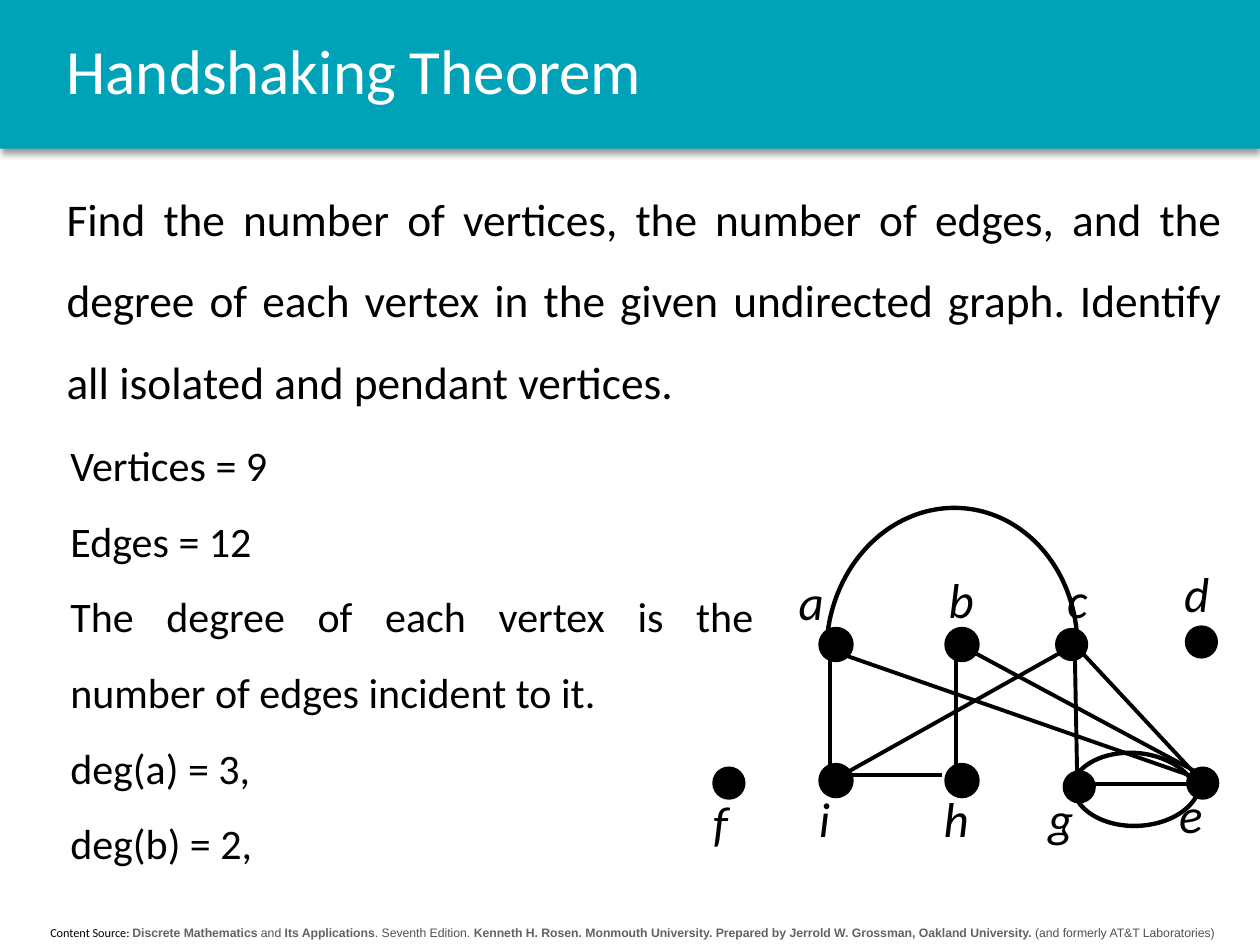
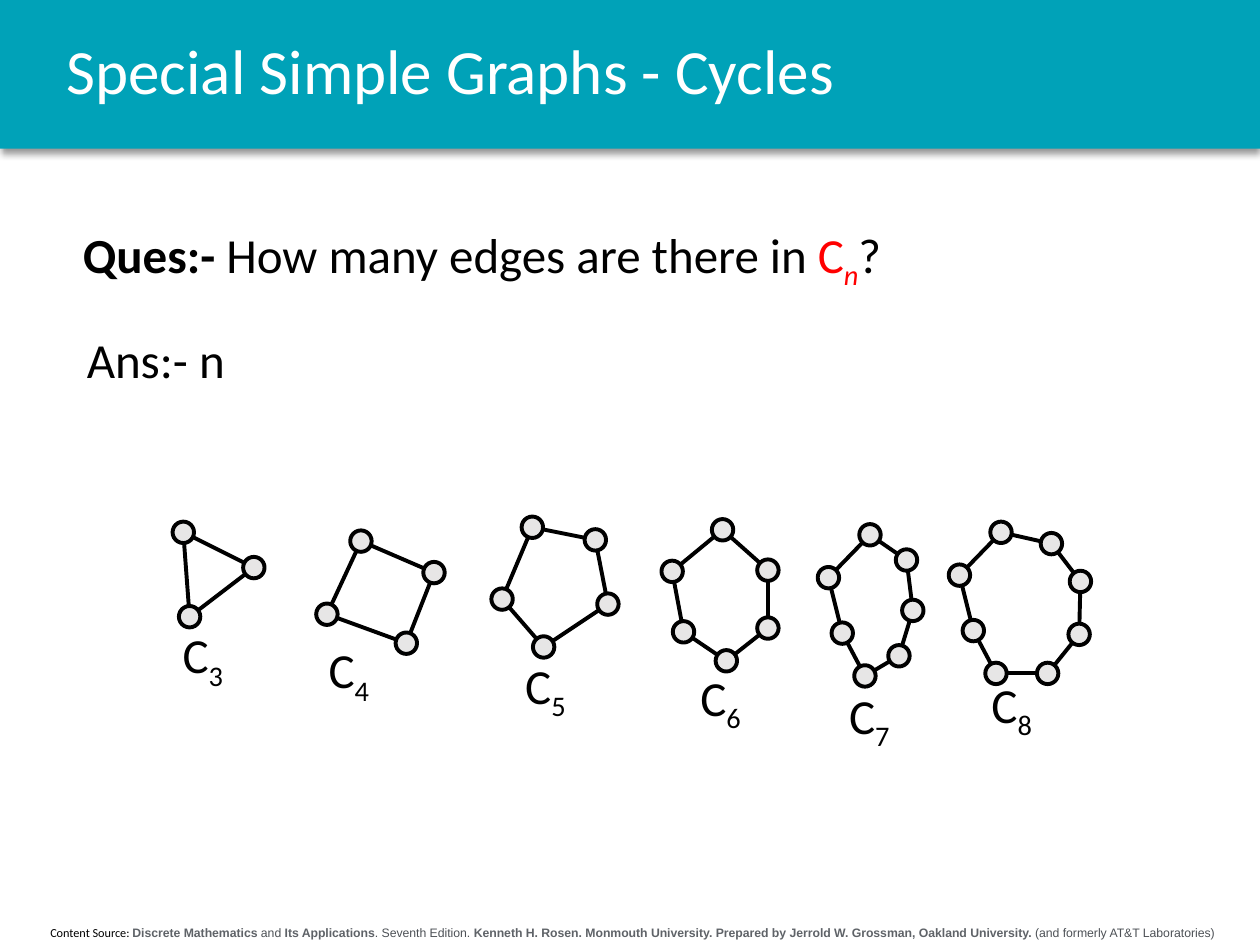
from collections import namedtuple

from lxml.etree import SubElement
from pptx import Presentation
from pptx.dml.color import RGBColor
from pptx.enum.shapes import MSO_CONNECTOR, MSO_SHAPE
from pptx.enum.text import MSO_ANCHOR, PP_ALIGN
from pptx.oxml.ns import qn
from pptx.util import Emu, Pt

Box = namedtuple("Box", "left top width height")

TEAL, WHITE, BLACK, RED = "00A2B8", "FFFFFF", "000000", "FF0000"
NODE_GRAY, CREDIT_BOLD, CREDIT_PLAIN = "E7E6E6", "5F6368", "4D5156"

BAND = Box(0, 0, 1000, 118)
TITLE = Box(43, 0, 930, 118)
FOOTER = Box(4, 729, 996, 22)
STRONG = dict(font="Arial", color=CREDIT_BOLD, bold=True)
PLAIN = dict(font="Arial", color=CREDIT_PLAIN)
CREDIT = [
    ("Content Source: ", {}),
    ("Discrete Mathematics", STRONG),
    (" and ", PLAIN),
    ("Its Applications", STRONG),
    (". Seventh Edition. ", PLAIN),
    ("Kenneth H. Rosen. Monmouth University. "
     "Prepared by Jerrold W. Grossman, Oakland University.", STRONG),
    (" (and formerly AT&T Laboratories)", PLAIN),
]

# Vertex: name, left, top, outline width, label left, label top
VERTEX_SIZE = 25
VERTICES = [
    ("a", 151, 99, 2.25, 124, 49),
    ("b", 251, 99, 2.25, 243, 47),
    ("c", 338, 99, 1, 337, 47),
    ("d", 441, 97, 1, 430, 42),
    ("e", 442, 209, 1, 426, 218),
    ("f", 66, 209, 1, 56, 224),
    ("g", 344, 212, 1, 322, 221),
    ("h", 251, 207, 2.25, 239, 221),
    ("i", 151, 207, 2.25, 140, 221),
]
EDGES = [
    ((159, 124), (159, 207)),
    ((259, 124), (259, 207)),
    ((156, 215), (248, 215)),
    ((347, 115), (158, 221)),
    ((446, 222), (355, 222)),
    ((452, 218), (356, 115)),
    ((452, 214), (264, 113)),
    ((446, 216), (159, 116)),
    ((353, 116), (355, 222)),
]
CURVED_EDGES = [
    (Box(143, 16, 225, 199), 274.6),
    (Box(366, 181, 68, 101), 274.6),
    (Box(368, 171, 68, 101), 87.5),
]

# Cycle: label corner, then the corner of each node in order around the cycle
NODE_SIZE = 17
CYCLES = [
    ((35, 94), [(37, 14), (93, 42), (42, 81)]),
    ((151, 106), [(178, 21), (236, 46), (214, 102), (151, 79)]),
    ((307, 118), [(314, 10), (364, 20), (374, 71), (323, 105), (290, 67)]),
    ((446, 128), [(465, 12), (501, 44), (501, 90), (468, 116), (434, 93),
                  (425, 45)]),
    ((564, 142), [(582, 16), (611, 36), (616, 76), (605, 112), (578, 128),
                  (560, 94), (549, 50)]),
    ((677, 133), [(686, 14), (726, 23), (749, 53), (748, 95), (723, 126),
                  (682, 126), (664, 92), (653, 48)]),
]


def px(length):
    """Turn px, 100 to the inch, into EMU."""
    return Emu(length * 9144)


def rgb(color):
    return RGBColor.from_string(color)


def inside(region, left, top, width, height):
    """Move a box given relative to a region onto the slide."""
    return Box(region.left + left, region.top + top, width, height)


def add_run(paragraph, text, size, color=BLACK, font="Calibri", bold=False,
            italic=False, subscript=False):
    run = paragraph.add_run()
    run.text = text
    run.font.name = font
    run.font.size = Pt(size)
    run.font.color.rgb = rgb(color)
    run.font.bold = bold
    run.font.italic = italic
    if subscript:
        run.font._element.set("baseline", "-25000")


def add_text(slide, box, paragraphs, align=PP_ALIGN.LEFT,
             anchor=MSO_ANCHOR.TOP, spacing=1.0, **style):
    """Add paragraphs, each a string or a list of (text, run style) pairs."""
    frame = slide.shapes.add_textbox(*map(px, box)).text_frame
    frame.word_wrap = True
    frame.vertical_anchor = anchor
    for index, content in enumerate(paragraphs):
        paragraph = frame.add_paragraph() if index else frame.paragraphs[0]
        paragraph.alignment = align
        paragraph.line_spacing = spacing
        runs = [(content, {})] if isinstance(content, str) else content
        for text, run_style in runs:
            add_run(paragraph, text, **{**style, **run_style})


def add_preset(slide, preset, box, fill=None, line_width=None):
    shape = slide.shapes.add_shape(preset, *map(px, box))
    shape.shadow.inherit = False
    if fill:
        shape.fill.solid()
        shape.fill.fore_color.rgb = rgb(fill)
    else:
        shape.fill.background()
    if line_width:
        shape.line.color.rgb = rgb(BLACK)
        shape.line.width = Pt(line_width)
    else:
        shape.line.fill.background()
    return shape


def add_edge(slide, region, start, end):
    ends = [px(corner + offset) for point in (start, end)
            for corner, offset in zip(region[:2], point)]
    connector = slide.shapes.add_connector(MSO_CONNECTOR.STRAIGHT, *ends)
    connector.line.color.rgb = rgb(BLACK)
    connector.line.width = Pt(2.25)
    SubElement(connector._element.spPr, qn("a:effectLst"))


def add_drop_shadow(shape):
    effects = shape._element.spPr.find(qn("a:effectLst"))
    shadow = SubElement(effects, qn("a:outerShdw"), blurRad=str(Pt(4)),
                        dist=str(Pt(3)), dir="5400000", algn="t",
                        rotWithShape="0")
    color = SubElement(shadow, qn("a:srgbClr"), val=BLACK)
    SubElement(color, qn("a:alpha"), val="40000")


def add_base_slide(presentation, title):
    """Add a slide with the title band and the source footer."""
    slide = presentation.slides.add_slide(presentation.slide_layouts[6])
    add_drop_shadow(add_preset(slide, MSO_SHAPE.RECTANGLE, BAND, TEAL))
    add_text(slide, FOOTER, [CREDIT], size=7, align=PP_ALIGN.CENTER)
    add_text(slide, TITLE, [title], size=36, color=WHITE, spacing=0.9,
             anchor=MSO_ANCHOR.MIDDLE)
    return slide


def add_undirected_graph(slide, region):
    for start, end in EDGES:
        add_edge(slide, region, start, end)
    for box, rotation in CURVED_EDGES:
        arc = add_preset(slide, MSO_SHAPE.ARC, inside(region, *box),
                         line_width=2.5)
        arc.adjustments[0] = 162
        arc.adjustments[1] = 49.5
        arc.rotation = rotation
    for name, left, top, outline, label_left, label_top in VERTICES:
        add_preset(slide, MSO_SHAPE.OVAL,
                   inside(region, left, top, VERTEX_SIZE, VERTEX_SIZE),
                   BLACK, outline)
        add_text(slide, inside(region, label_left, label_top, 52, 57), [name],
                 size=28, italic=True)


def add_cycles(slide, region):
    half = NODE_SIZE / 2
    for count, (label, nodes) in enumerate(CYCLES, start=3):
        centers = [(left + half, top + half) for left, top in nodes]
        for start, end in zip(centers, centers[1:] + centers[:1]):
            add_edge(slide, region, start, end)
        for node in nodes:
            add_preset(slide, MSO_SHAPE.OVAL,
                       inside(region, *node, NODE_SIZE, NODE_SIZE),
                       NODE_GRAY, 2.25)
        add_text(slide, inside(region, *label, 59, 57),
                 [[("C", {}), (str(count), dict(subscript=True))]],
                 size=28, anchor=MSO_ANCHOR.MIDDLE)


def add_handshaking_slide(presentation):
    slide = add_base_slide(presentation, "Handshaking Theorem")
    justified = dict(align=PP_ALIGN.JUSTIFY, spacing=1.5)
    add_text(slide, Box(43, 125, 937, 219), [
        "Find the number of vertices, the number of edges, and the degree of "
        "each vertex in the given undirected graph. Identify all isolated "
        "and pendant vertices."], size=25.9, **justified)
    add_text(slide, Box(46, 324, 562, 365), [
        "Vertices = 9",
        "Edges = 12",
        "The degree of each vertex is the number of edges incident to it.",
        "deg(a) = 3,",
        "deg(b) = 2,",
    ], size=24, **justified)
    add_undirected_graph(slide, Box(500, 400, 480, 290))


def add_cycles_slide(presentation):
    slide = add_base_slide(presentation, "Special Simple Graphs - Cycles")
    question = [
        ("Ques:- ", dict(bold=True)),
        ("How many edges are there in ", {}),
        ("C", dict(color=RED)),
        ("n", dict(color=RED, italic=True, subscript=True)),
        ("?", {}),
    ]
    middle = dict(size=28, anchor=MSO_ANCHOR.MIDDLE)
    add_text(slide, Box(56, 176, 740, 57), [question], **middle)
    add_text(slide, Box(59, 256, 148, 57), ["Ans:- n"], **middle)
    add_cycles(slide, Box(100, 400, 800, 200))


def main():
    presentation = Presentation()
    presentation.slide_width = px(1000)
    presentation.slide_height = px(750)
    add_handshaking_slide(presentation)
    add_cycles_slide(presentation)
    presentation.save("out.pptx")


if __name__ == "__main__":
    main()
